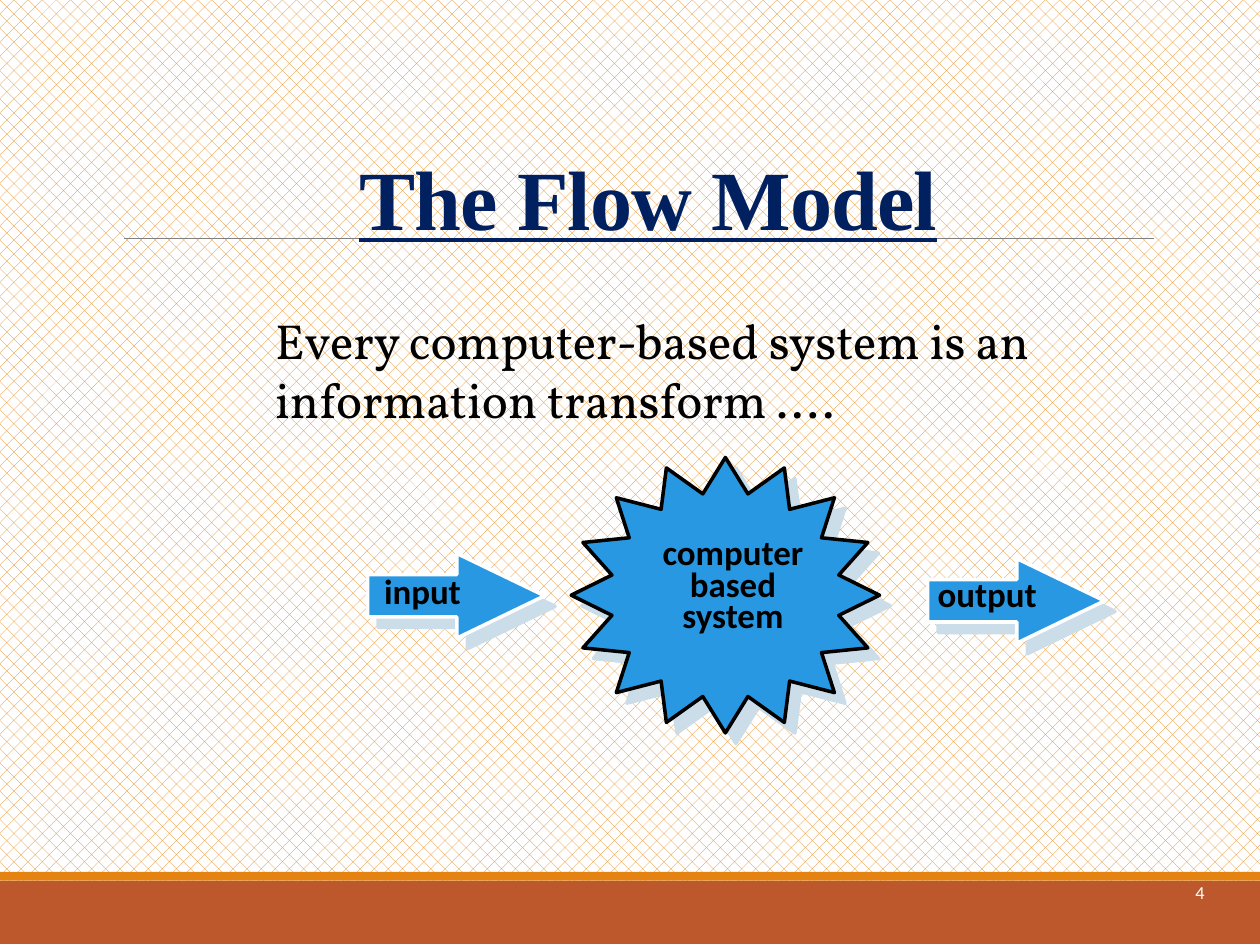
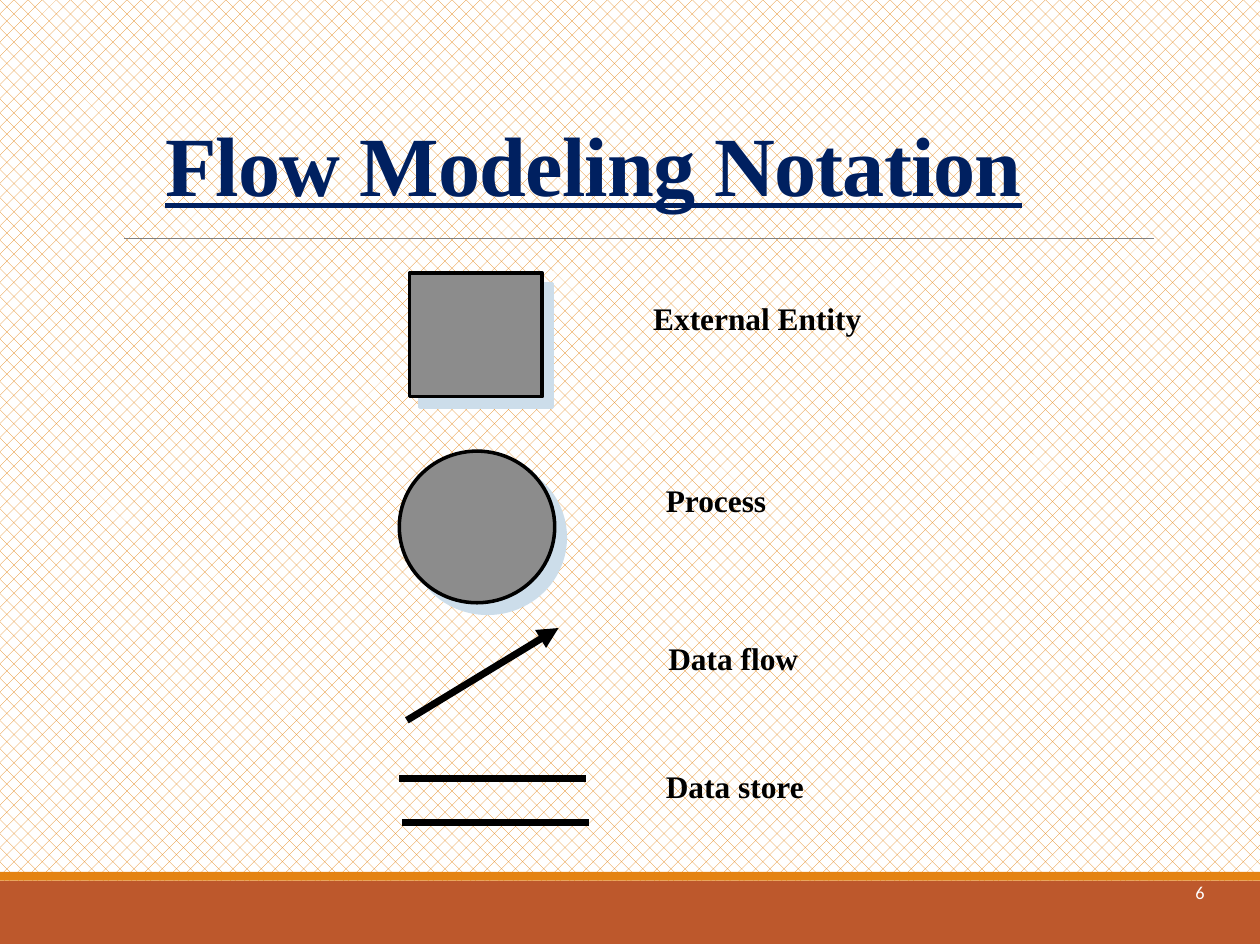
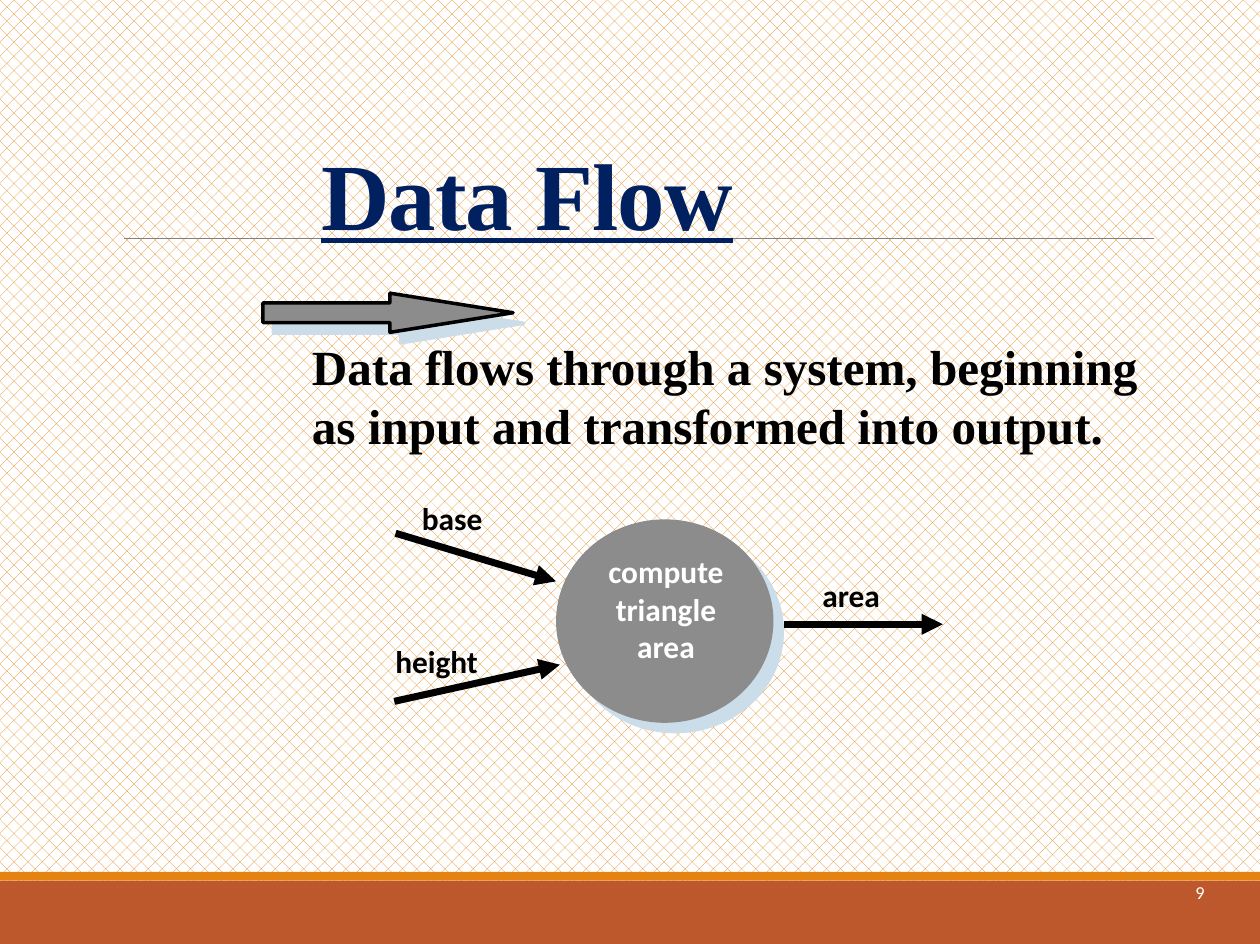
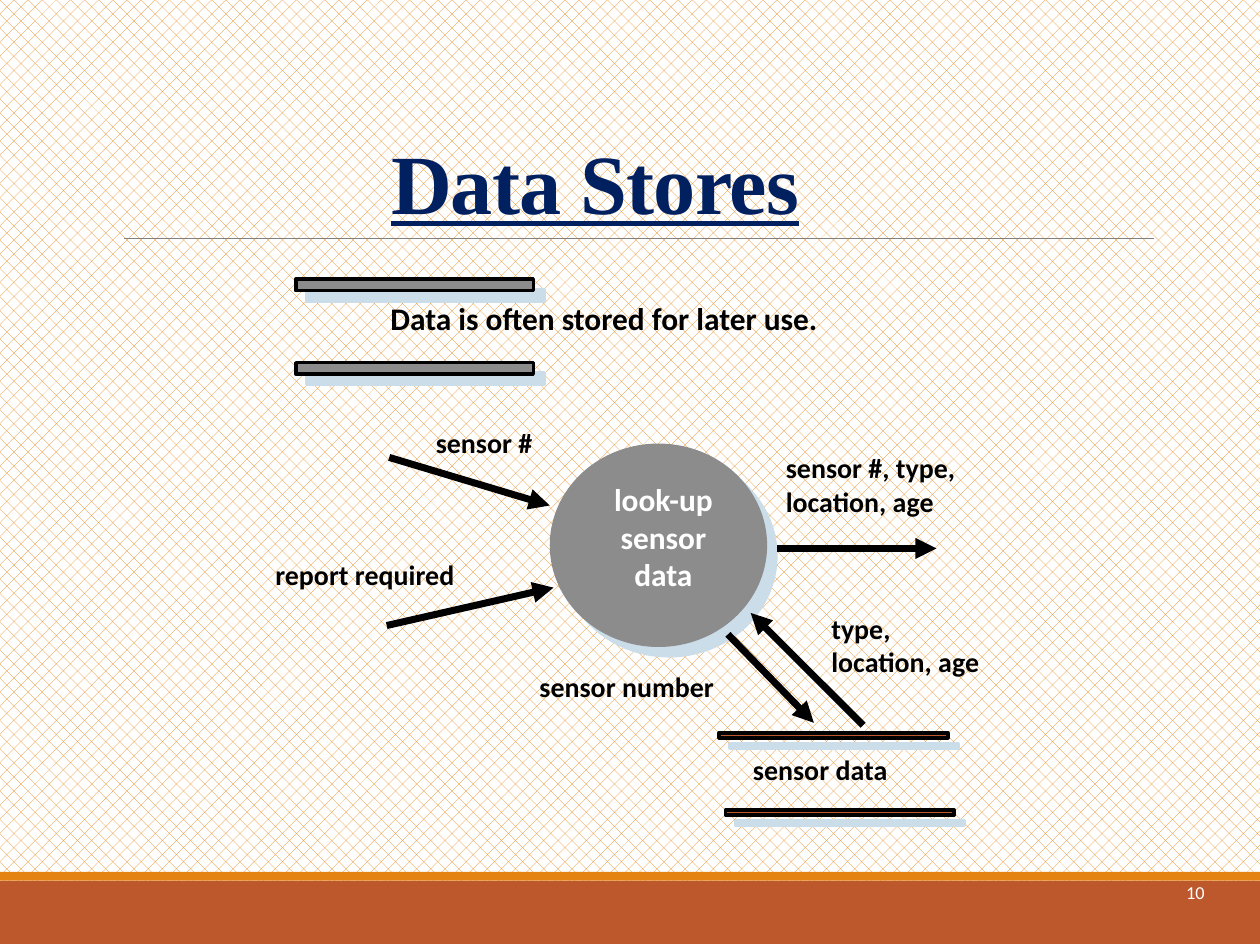
from dataclasses import dataclass

import pptx
from lxml import etree
from pptx import util as u
from pptx.dml import color
from pptx.enum import dml, shapes, text
from pptx.oxml import ns

SHAPE = shapes.MSO_SHAPE
ALIGN = text.PP_ALIGN


@dataclass(frozen=True)
class Theme:
    width: float = 717.84
    height: float = 537.84
    orange: str = "E48312"
    rust: str = "BD582C"
    white: str = "FFFFFF"
    black: str = "000000"
    navy: str = "002060"
    blue: str = "2998E3"
    gray: str = "8C8C8C"
    rule: str = "808080"
    shadow: str = "CCDDEA"
    sans: str = "Calibri"
    serif: str = "Times New Roman"
    display: str = "Vollkorn"
    title_size: float = 48
    large_title_size: float = 54
    body_size: float = 28
    name_size: float = 19.9
    label_size: float = 17.9
    small_size: float = 15.9
    number_size: float = 10.4
    shadow_distance: float = 8.5
    outline: float = 2
    stroke: float = 4


T = Theme()
Box = tuple[float, float, float, float]


@dataclass(frozen=True)
class Figure:
    kind: SHAPE
    box: Box
    fill: str = T.gray
    line: str | None = T.black
    adjust: tuple[float, ...] = ()
    shadow: bool = True


@dataclass(frozen=True)
class Line:
    start: tuple[float, float]
    end: tuple[float, float]
    arrow: bool = True
    color: str = T.black
    width: float = T.stroke


@dataclass(frozen=True)
class Label:
    words: str
    box: Box
    size: float = T.label_size
    font: str = T.sans
    color: str = T.black
    bold: bool = True
    underline: bool = False
    align: ALIGN = ALIGN.LEFT
    spacing: float | None = None
    tracking: float = 0
    middle: bool = False
    wrap: bool = False


@dataclass(frozen=True)
class Page:
    number: int
    title: Label
    figures: list[Figure]
    lines: list[Line]
    labels: list[Label]


def rgb(value: str) -> color.RGBColor:
    return color.RGBColor.from_string(value)


def points(values: tuple[float, ...]) -> list[int]:
    return [u.Pt(v) for v in values]


def draw_figure(s, figure: Figure) -> None:
    sp = s.shapes.add_shape(figure.kind, *points(figure.box))
    for i, value in enumerate(figure.adjust):
        sp.adjustments[i] = value
    sp.fill.solid()
    sp.fill.fore_color.rgb = rgb(figure.fill)
    if figure.line:
        sp.line.color.rgb = rgb(figure.line)
        sp.line.width = u.Pt(T.outline)
    else:
        sp.line.fill.background()
    sp.shadow.inherit = False
    if figure.shadow:
        effects = sp._element.spPr.find(ns.qn("a:effectLst"))
        shadow = etree.SubElement(
            effects, ns.qn("a:outerShdw"), blurRad="0",
            dist=str(u.Pt(T.shadow_distance)), dir="2700000",
            algn="ctr", rotWithShape="0")
        etree.SubElement(shadow, ns.qn("a:srgbClr"), val=T.shadow)


def draw_line(s, line: Line) -> None:
    sp = s.shapes.add_connector(
        shapes.MSO_CONNECTOR.STRAIGHT, *points(line.start + line.end))
    sp.line.color.rgb = rgb(line.color)
    sp.line.width = u.Pt(line.width)
    if line.arrow:
        etree.SubElement(
            sp.line._get_or_add_ln(), ns.qn("a:tailEnd"), type="triangle")
    etree.SubElement(sp._element.spPr, ns.qn("a:effectLst"))


def draw_label(s, label: Label) -> None:
    tf = s.shapes.add_textbox(*points(label.box)).text_frame
    tf.word_wrap = label.wrap
    if not label.wrap:
        tf.auto_size = text.MSO_AUTO_SIZE.SHAPE_TO_FIT_TEXT
    if label.middle:
        tf.vertical_anchor = text.MSO_ANCHOR.MIDDLE
    tf.text = label.words
    for p in tf.paragraphs:
        p.alignment = label.align
        if label.spacing:
            p.line_spacing = label.spacing
        for r in p.runs:
            r.font.size = u.Pt(label.size)
            r.font.name = label.font
            r.font.bold = label.bold
            r.font.underline = label.underline
            r.font.color.rgb = rgb(label.color)
            if label.tracking:
                r.font._element.set("spc", str(round(label.tracking * 100)))


def draw_frame(s, number: int) -> None:
    fill = s.background.fill
    fill.patterned()
    fill.pattern = dml.MSO_PATTERN.PERCENT_25
    fill.fore_color.rgb = rgb(T.orange)
    fill.back_color.rgb = rgb(T.white)
    for top, height, band in ((501.84, 36, T.rust), (496.8, 5.04, T.orange)):
        draw_figure(s, Figure(SHAPE.RECTANGLE, (0, top, T.width, height),
                              band, None, shadow=False))
    draw_line(s, Line((70.56, 136.08), (657.36, 136.08), False, T.rule, 0.5))
    draw_label(s, Label(str(number), (591.84, 490.32, 101.52, 36),
                        T.number_size, color=T.white, bold=False,
                        align=ALIGN.RIGHT, middle=True, wrap=True))


def heading(words: str, box: Box, size: float = T.title_size,
            align: ALIGN = ALIGN.CENTER) -> Label:
    return Label(words, box, size, T.serif, T.navy, underline=True,
                 align=align, spacing=0.85, tracking=-0.5, middle=True,
                 wrap=True)


def flow_arrow(left: float, top: float) -> Figure:
    return Figure(SHAPE.RIGHT_ARROW, (left, top, 100.8, 48.24), T.blue,
                  T.white, (0.5, 1.036))


def process(left: float, top: float) -> Figure:
    return Figure(SHAPE.OVAL, (left, top, 123.84, 115.92), line=None)


def process_name(words: str, box: Box) -> Label:
    return Label(words, box, color=T.white, align=ALIGN.CENTER)


def notation(words: str, left: float, top: float, width: float) -> Label:
    return Label(words, (left, top, width, 28.8), font=T.serif)


def note(words: str, left: float, top: float, width: float,
         height: float = 26.64) -> Label:
    return Label(words, (left, top, width, height), T.small_size)


PAGES = [
    Page(
        4,
        heading("The Flow Model", (88.56, 88.56, 561.6, 56.16)),
        [
            Figure(SHAPE.STAR_16_POINT, (325.44, 260.64, 175.68, 156.96),
                   T.blue, adjust=(0.375,)),
            flow_arrow(209.52, 315.36),
            flow_arrow(528.48, 318.24),
        ],
        [],
        [
            Label("Every computer-based system is an\n"
                  "information transform ....",
                  (149.76, 173.52, 472.32, 74.88), T.body_size, T.display,
                  bold=False),
            Label("computer\nbased\nsystem", (370.08, 304.56, 95.04, 61.2),
                  T.name_size, align=ALIGN.CENTER, spacing=0.75),
            Label("input", (211.68, 321.12, 58.32, 30.96), T.name_size),
            Label("output", (527.04, 322.56, 71.28, 30.96), T.name_size),
        ],
    ),
    Page(
        6,
        heading("Flow Modeling Notation", (87.12, 69.12, 506.88, 56.16),
                align=ALIGN.LEFT),
        [
            Figure(SHAPE.RECTANGLE, (233.28, 155.52, 75.6, 70.56)),
            Figure(SHAPE.OVAL, (227.52, 257.04, 88.56, 86.4)),
        ],
        [
            Line((231.84, 410.4), (318.24, 357.84)),
            Line((227.52, 443.52), (334.08, 443.52), False),
            Line((228.96, 468.72), (335.52, 468.72), False),
        ],
        [
            notation("External Entity", 365.04, 167.04, 135.36),
            notation("Process", 372.24, 270.72, 72.72),
            notation("Data flow", 373.68, 360.72, 89.28),
            notation("Data store", 372.24, 433.44, 94.32),
        ],
    ),
    Page(
        9,
        heading("Data Flow", (95.76, 83.52, 408.96, 62.64),
                T.large_title_size),
        [
            Figure(SHAPE.RIGHT_ARROW, (149.76, 167.04, 142.56, 22.32),
                   adjust=(0.5, 3.143)),
            process(316.8, 295.92),
        ],
        [
            Line((225.36, 303.84), (316.8, 331.2)),
            Line((224.64, 399.6), (318.96, 378.72)),
            Line((446.4, 355.68), (537.12, 355.68)),
        ],
        [
            Label("Data flows through a system, beginning\n"
                  "as input and transformed into output.",
                  (170.64, 187.92, 490.32, 74.88), T.body_size, T.serif),
            process_name("compute\ntriangle\narea",
                         (339.12, 311.04, 80.64, 93.6)),
            Label("base", (233.28, 280.8, 48.96, 28.8)),
            Label("height", (218.16, 362.16, 61.92, 28.8)),
            Label("area", (461.52, 324.72, 47.52, 28.8)),
        ],
    ),
    Page(
        10,
        heading("Data Stores", (149.76, 79.2, 378.72, 56.16)),
        [
            *(Figure(SHAPE.RECTANGLE, (168.48, top, 135.36, 6.48))
              for top in (159.12, 206.64)),
            process(313.2, 252.72),
            *(Figure(SHAPE.RECTANGLE, (left, top, 130.32, 2.88), T.rust)
              for left, top in ((409.68, 417.6), (413.28, 461.52))),
        ],
        [
            Line((221.76, 260.64), (313.2, 288)),
            Line((220.32, 356.4), (315.36, 334.8)),
            Line((442.8, 312.48), (533.52, 312.48)),
            Line((414.72, 361.44), (463.68, 411.84)),
            Line((491.76, 413.28), (427.68, 349.2)),
        ],
        [
            Label("Data is often stored for later use.",
                  (215.28, 167.04, 259.92, 28.8)),
            process_name("look-up\nsensor\ndata", (342, 270, 72, 93.6)),
            note("sensor #", 241.2, 239.04, 69.84),
            note("report required", 149.76, 313.92, 116.64),
            note("sensor #, type,\nlocation, age", 440.64, 253.44, 115.2,
                 45.36),
            note("sensor data", 421.92, 425.52, 91.44),
            note("sensor number", 300.24, 378, 114.48),
            note("type,\nlocation, age", 466.56, 344.88, 99.36, 45.36),
        ],
    ),
]


def draw_page(prs, page: Page) -> None:
    s = prs.slides.add_slide(prs.slide_layouts[6])
    draw_frame(s, page.number)
    draw_label(s, page.title)
    for figure in page.figures:
        draw_figure(s, figure)
    for line in page.lines:
        draw_line(s, line)
    for label in page.labels:
        draw_label(s, label)


def main() -> None:
    prs = pptx.Presentation()
    prs.slide_width = u.Pt(T.width)
    prs.slide_height = u.Pt(T.height)
    for page in PAGES:
        draw_page(prs, page)
    prs.save("out.pptx")


if __name__ == "__main__":
    main()
